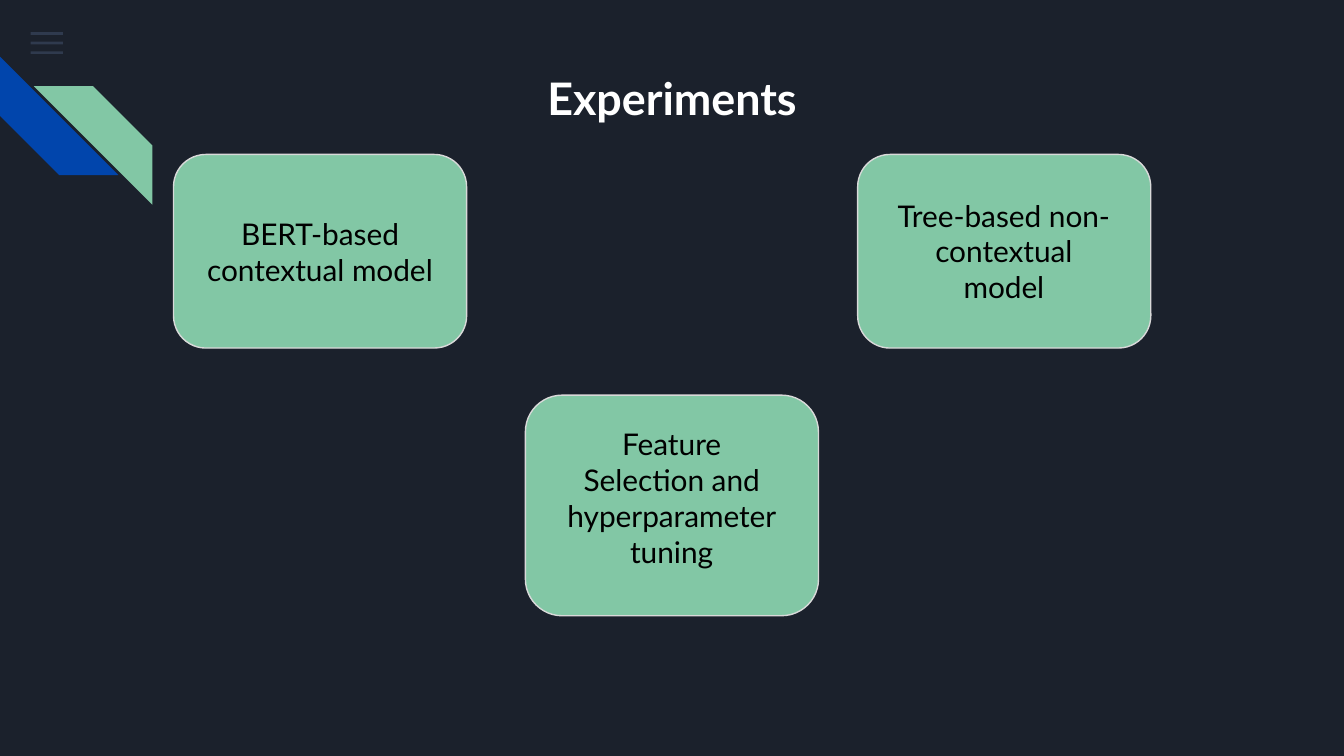
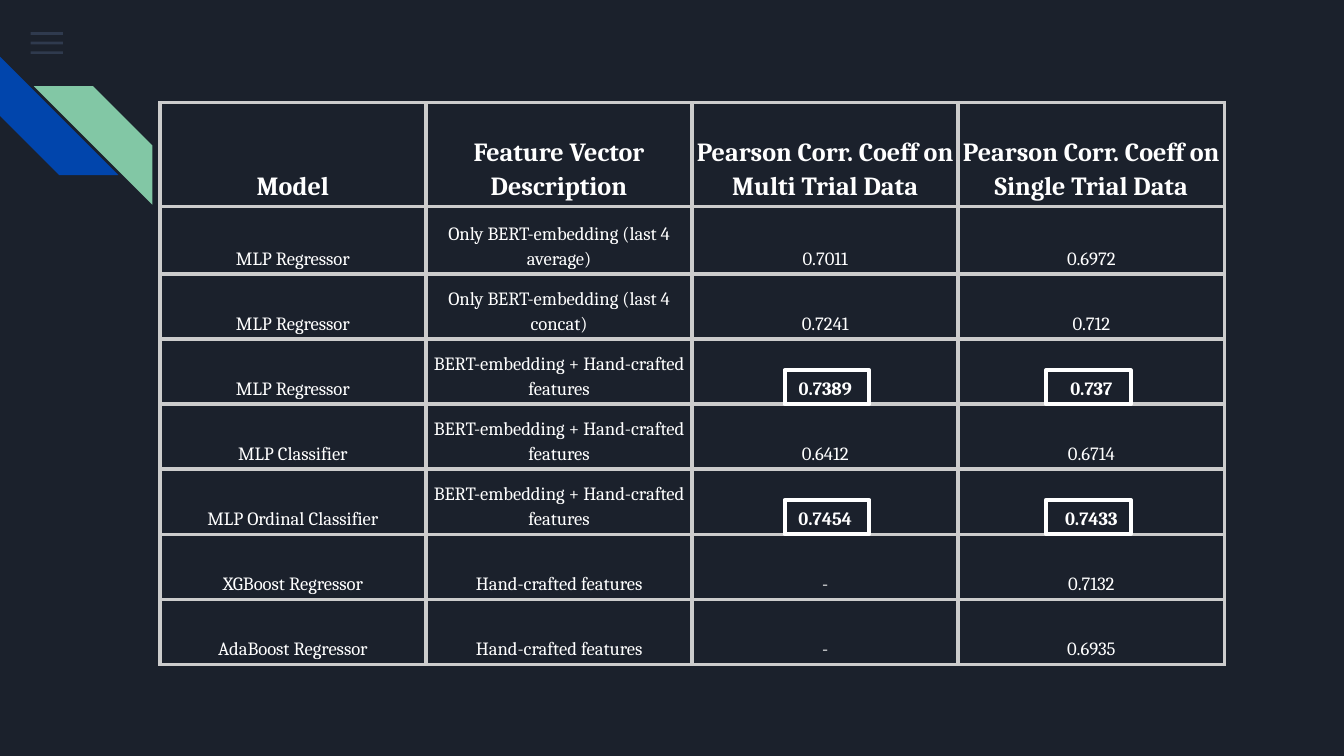
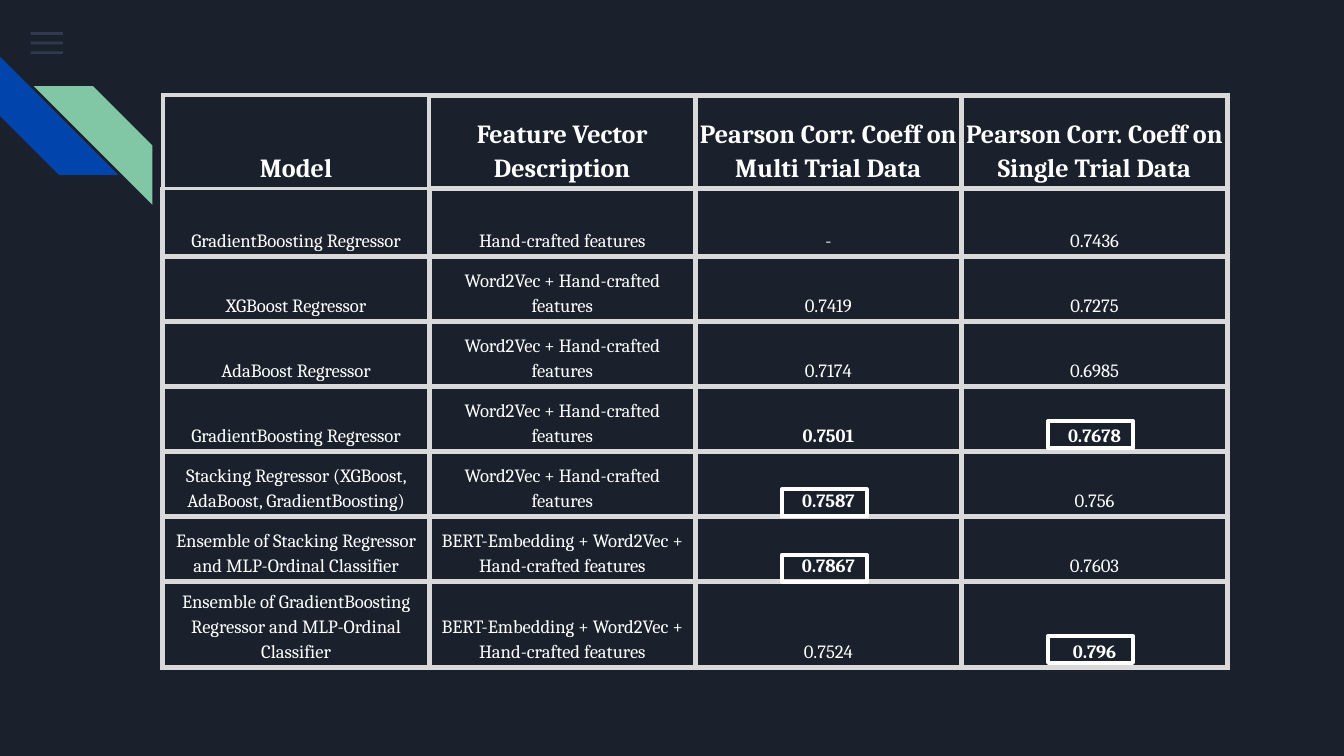
from dataclasses import dataclass

import lxml.etree
import pptx
import pptx.dml.color
import pptx.enum.shapes
import pptx.enum.text
import pptx.oxml.ns
import pptx.presentation
import pptx.shapes.autoshape
import pptx.slide
import pptx.table
import pptx.text.text
import pptx.util

NIGHT = pptx.dml.color.RGBColor(0x1B, 0x21, 0x2C)
SLATE = pptx.dml.color.RGBColor(0x55, 0x68, 0x8B)
BLUE = pptx.dml.color.RGBColor(0x01, 0x45, 0xAC)
GREEN = pptx.dml.color.RGBColor(0x82, 0xC7, 0xA5)
SILVER = pptx.dml.color.RGBColor(0xCC, 0xCC, 0xCC)
PALE = pptx.dml.color.RGBColor(0xD9, 0xD9, 0xD9)
WHITE = pptx.dml.color.RGBColor(0xFF, 0xFF, 0xFF)
BLACK = pptx.dml.color.RGBColor(0x00, 0x00, 0x00)

COLUMN_WIDTH = 5.03
FIRST_RESULT_HEIGHT = 1.28
RESULT_HEIGHT = 1.23
HIGHLIGHT_WIDTH = 1.6
THIN = 2.25

HEADINGS = (
    "Model",
    "Feature Vector Description",
    "Pearson Corr. Coeff on Multi Trial Data",
    "Pearson Corr. Coeff on Single Trial Data",
)
HAND = "Hand-crafted features"
BERT_HAND = "BERT-embedding + Hand-crafted features"
WORD_HAND = "Word2Vec + Hand-crafted features"
BERT_WORD_HAND = "BERT-Embedding + Word2Vec + Hand-crafted features"


@dataclass(frozen=True)
class Box:
    left: float
    top: float
    width: float
    height: float

    def emu(self) -> tuple[pptx.util.Length, ...]:
        return tuple(map(pptx.util.Cm, (self.left, self.top, self.width, self.height)))


@dataclass(frozen=True)
class TextStyle:
    font: str
    size: float
    color: pptx.dml.color.RGBColor
    bold: bool = False
    spacing: float | None = None


@dataclass(frozen=True)
class Experiment:
    text: str
    card: Box
    caption: Box | None = None


@dataclass(frozen=True)
class Results:
    left: float
    top: float
    heading_height: float
    border: pptx.dml.color.RGBColor
    weight: float
    rows: tuple[tuple[str, str, str, str], ...]
    best: frozenset[str]
    highlights: tuple[tuple[float, float], ...]
    highlight_height: float


TITLE = TextStyle("Lato", 24, WHITE, bold=True)
CARD_TEXT = TextStyle("Lato", 16, BLACK)
HEADING = TextStyle("Cambria", 14, WHITE, bold=True, spacing=1.15)
RESULT = TextStyle("Cambria", 10, WHITE, spacing=1.15)
BEST_RESULT = TextStyle("Cambria", 10, WHITE, bold=True, spacing=1.15)

EXPERIMENTS = (
    Experiment("BERT-based contextual model", Box(3.28, 2.92, 5.54, 3.66)),
    Experiment(
        "Tree-based non-contextual model",
        Box(16.21, 2.92, 5.54, 3.66),
        Box(16.64, 3.48, 4.67, 2.57),
    ),
    Experiment(
        "Feature Selection and hyperparameter tuning",
        Box(9.93, 7.47, 5.54, 4.17),
        Box(10.36, 7.8, 4.67, 3.25),
    ),
)

BERT_RESULTS = Results(
    left=3.02,
    top=1.94,
    heading_height=1.96,
    border=SILVER,
    weight=THIN,
    rows=(
        ("MLP Regressor", "Only BERT-embedding (last 4 average)", "0.7011", "0.6972"),
        ("MLP Regressor", "Only BERT-embedding (last 4 concat)", "0.7241", "0.712"),
        ("MLP Regressor", BERT_HAND, "0.7389", "0.737"),
        ("MLP Classifier", BERT_HAND, "0.6412", "0.6714"),
        ("MLP Ordinal Classifier", BERT_HAND, "0.7454", "0.7433"),
        ("XGBoost Regressor", HAND, "-", "0.7132"),
        ("AdaBoost Regressor", HAND, "-", "0.6935"),
    ),
    best=frozenset({"0.7389", "0.737", "0.7454", "0.7433"}),
    highlights=((14.83, 7.0), (19.77, 7.0), (14.83, 9.45), (19.77, 9.45)),
    highlight_height=0.64,
)

TREE_RESULTS = Results(
    left=3.08,
    top=1.8,
    heading_height=1.76,
    border=PALE,
    weight=3,
    rows=(
        ("GradientBoosting Regressor", HAND, "-", "0.7436"),
        ("XGBoost Regressor", WORD_HAND, "0.7419", "0.7275"),
        ("AdaBoost Regressor", WORD_HAND, "0.7174", "0.6985"),
        ("GradientBoosting Regressor", WORD_HAND, "0.7501", "0.7678"),
        (
            "Stacking Regressor (XGBoost, AdaBoost, GradientBoosting)",
            WORD_HAND,
            "0.7587",
            "0.756",
        ),
        (
            "Ensemble of Stacking Regressor and MLP-Ordinal Classifier",
            BERT_WORD_HAND,
            "0.7867",
            "0.7603",
        ),
        (
            "Ensemble of GradientBoosting Regressor and MLP-Ordinal Classifier",
            BERT_WORD_HAND,
            "0.7524",
            "0.796",
        ),
    ),
    best=frozenset({"0.7501", "0.7678", "0.7587", "0.7867", "0.796"}),
    highlights=((14.78, 9.25), (19.81, 7.96), (14.78, 10.49), (19.81, 12.02)),
    highlight_height=0.51,
)


def write(frame: pptx.text.text.TextFrame, text: str, style: TextStyle) -> None:
    frame.word_wrap = True
    paragraph = frame.paragraphs[0]
    paragraph.alignment = pptx.enum.text.PP_ALIGN.CENTER
    if style.spacing:
        paragraph.line_spacing = style.spacing
    run = paragraph.add_run()
    run.text = text
    run.font.name = style.font
    run.font.size = pptx.util.Pt(style.size)
    run.font.bold = style.bold
    run.font.color.rgb = style.color


def set_insets(holder: pptx.text.text.TextFrame | pptx.table._Cell, inset: float) -> None:
    holder.margin_left = holder.margin_right = pptx.util.Cm(inset)
    holder.margin_top = holder.margin_bottom = pptx.util.Cm(inset)


def add_text(slide: pptx.slide.Slide, box: Box, text: str, style: TextStyle) -> None:
    frame = slide.shapes.add_textbox(*box.emu()).text_frame
    set_insets(frame, 0.25)
    write(frame, text, style)


def add_preset(
    slide: pptx.slide.Slide,
    preset: pptx.enum.shapes.MSO_SHAPE,
    box: Box,
    fill: pptx.dml.color.RGBColor | None = None,
    line: pptx.dml.color.RGBColor | None = None,
    weight: float = 0.75,
) -> pptx.shapes.autoshape.Shape:
    shape = slide.shapes.add_shape(preset, *box.emu())
    shape.shadow.inherit = False
    if fill is None:
        shape.fill.background()
    else:
        shape.fill.solid()
        shape.fill.fore_color.rgb = fill
    if line is None:
        shape.line.fill.background()
    else:
        shape.line.color.rgb = line
        shape.line.width = pptx.util.Pt(weight)
    return shape


def add_menu_icon(slide: pptx.slide.Slide) -> None:
    for index in range(3):
        bar = add_preset(
            slide,
            pptx.enum.shapes.MSO_SHAPE.RECTANGLE,
            Box(0.58, 0.61 + 0.18 * index, 0.61, 0.05),
            SLATE,
        )
        color = bar._element.spPr.find(".//" + pptx.oxml.ns.qn("a:srgbClr"))
        lxml.etree.SubElement(color, pptx.oxml.ns.qn("a:alpha"), val="36000")


def add_base_slide(deck: pptx.presentation.Presentation) -> pptx.slide.Slide:
    slide = deck.slides.add_slide(deck.slide_layouts[6])
    slide.background.fill.solid()
    slide.background.fill.fore_color.rgb = NIGHT
    add_menu_icon(slide)
    for left, top, color, rotation in ((0, 1.07, BLUE, 270), (0.64, 1.63, GREEN, 90)):
        stripe = add_preset(
            slide,
            pptx.enum.shapes.MSO_SHAPE.DIAGONAL_STRIPE,
            Box(left, top, 2.24, 2.24),
            color,
        )
        stripe.adjustments[0] = 0.5
        stripe.rotation = rotation
    return slide


def add_experiments(deck: pptx.presentation.Presentation) -> None:
    slide = add_base_slide(deck)
    add_text(slide, Box(2.92, 1.09, 19.56, 2.54), "Experiments", TITLE)
    for experiment in EXPERIMENTS:
        card = add_preset(
            slide,
            pptx.enum.shapes.MSO_SHAPE.ROUNDED_RECTANGLE,
            experiment.card,
            GREEN,
            PALE,
        )
        if experiment.caption:
            add_text(slide, experiment.caption, experiment.text, CARD_TEXT)
        else:
            card.text_frame.vertical_anchor = pptx.enum.text.MSO_ANCHOR.MIDDLE
            set_insets(card.text_frame, 0.25)
            write(card.text_frame, experiment.text, CARD_TEXT)


def add_borders(
    cell: pptx.table._Cell, color: pptx.dml.color.RGBColor, weights: dict[str, float]
) -> None:
    properties = cell._tc.get_or_add_tcPr()
    for side, weight in weights.items():
        line = lxml.etree.SubElement(
            properties, pptx.oxml.ns.qn(f"a:ln{side}"), w=str(int(pptx.util.Pt(weight)))
        )
        fill = lxml.etree.SubElement(line, pptx.oxml.ns.qn("a:solidFill"))
        lxml.etree.SubElement(fill, pptx.oxml.ns.qn("a:srgbClr"), val=str(color))


def border_weights(row: int, column: int, weight: float) -> dict[str, float]:
    weights = dict.fromkeys("LRTB", weight)
    thin_sides = {(0, 0): "LRTB", (0, 1): "L", (1, 0): "T"}.get((row, column), "")
    return weights | dict.fromkeys(thin_sides, THIN)


def add_results(deck: pptx.presentation.Presentation, results: Results) -> None:
    slide = add_base_slide(deck)
    rows = (HEADINGS, *results.rows)
    heights = [results.heading_height, FIRST_RESULT_HEIGHT]
    heights += [RESULT_HEIGHT] * (len(rows) - len(heights))
    area = Box(results.left, results.top, COLUMN_WIDTH * len(HEADINGS), sum(heights))
    table = slide.shapes.add_table(len(rows), len(HEADINGS), *area.emu()).table
    table.first_row = table.horz_banding = False
    for column in table.columns:
        column.width = pptx.util.Cm(COLUMN_WIDTH)
    for row_index, (values, height) in enumerate(zip(rows, heights)):
        table.rows[row_index].height = pptx.util.Cm(height)
        for column_index, value in enumerate(values):
            cell = table.cell(row_index, column_index)
            cell.vertical_anchor = pptx.enum.text.MSO_ANCHOR.BOTTOM
            set_insets(cell, 0.08)
            weights = border_weights(row_index, column_index, results.weight)
            add_borders(cell, results.border, weights)
            cell.fill.background()
            style = BEST_RESULT if value in results.best else RESULT
            write(cell.text_frame, value, HEADING if row_index == 0 else style)
    for left, top in results.highlights:
        add_preset(
            slide,
            pptx.enum.shapes.MSO_SHAPE.RECTANGLE,
            Box(left, top, HIGHLIGHT_WIDTH, results.highlight_height),
            line=WHITE,
            weight=THIN,
        )


def main() -> None:
    deck = pptx.Presentation()
    deck.slide_width = pptx.util.Cm(25.4)
    deck.slide_height = pptx.util.Cm(14.29)
    add_experiments(deck)
    for results in (BERT_RESULTS, TREE_RESULTS):
        add_results(deck, results)
    deck.save("out.pptx")


if __name__ == "__main__":
    main()
